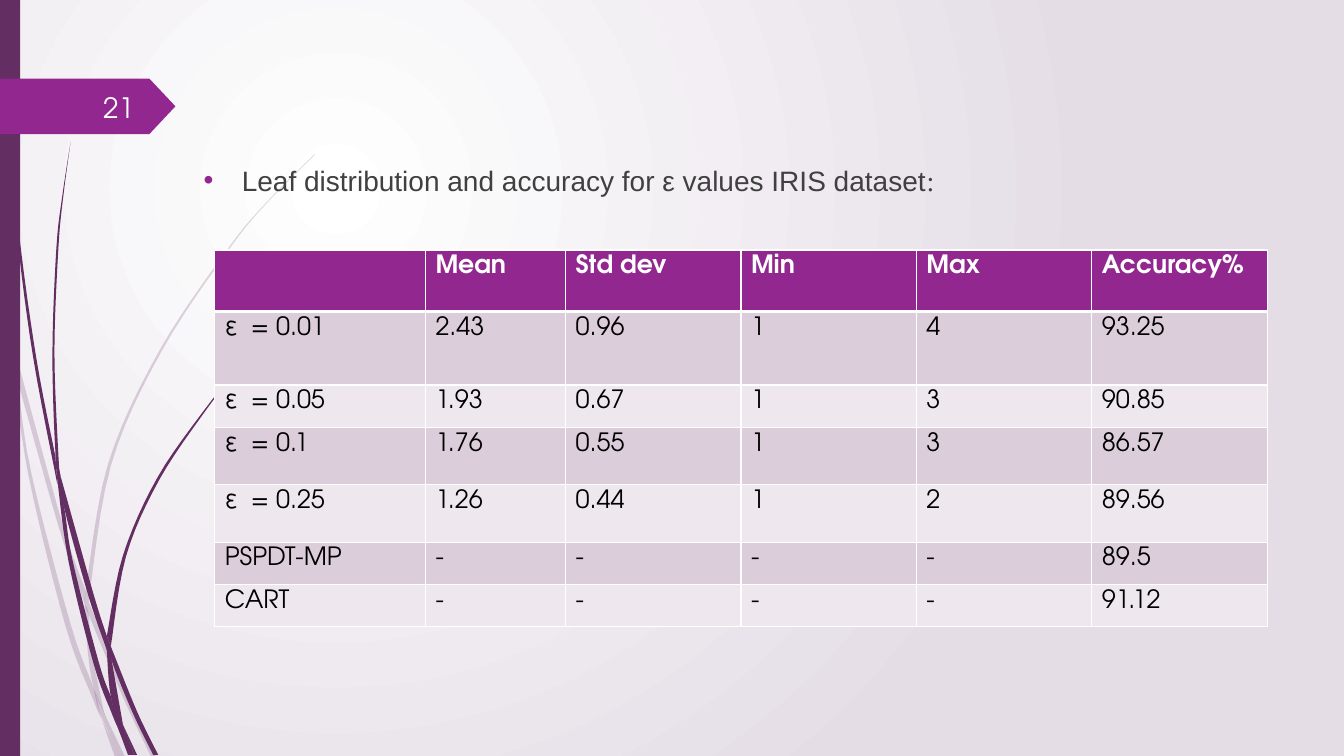
from dataclasses import dataclass

from lxml.etree import SubElement
from pptx import Presentation
from pptx.dml.color import RGBColor
from pptx.enum.shapes import MSO_SHAPE
from pptx.enum.text import MSO_ANCHOR, PP_ALIGN
from pptx.oxml.ns import qn
from pptx.util import Inches, Pt


@dataclass(frozen=True)
class Theme:
    plum: str = "632E62"
    accent: str = "92278F"
    band: str = "DCCDDB"
    light: str = "EEE8EE"
    white: str = "FFFFFF"
    mist: str = "E4DDE6"
    number: str = "FEFFFF"
    body: str = "404040"
    ink: str = "000000"
    font: str = "TeX Gyre Adventor"
    body_font: str = "Arial"
    colon_font: str = "Times New Roman"
    body_size: int = 20
    table_size: int = 18


THEME = Theme()

PALE_WISPS = [
    ([(0.11, 3.5), (0.09, 3.22), (0, 2.82)], [(0, 2.99), (0.1, 3.44), (0.11, 3.5)]),
    ([(0.17, 3.76), (0.58, 5.22), (0.84, 5.99)], [(0.85, 5.86), (0.62, 5.2), (0.14, 3.45)]),
    ([(0.88, 6.1), (1.23, 6.94), (1.5, 7.51)],
     [(1.55, 7.51), (1.27, 6.92), (0.92, 6.07), (0.88, 5.96)]),
    ([(1.05, 7.11), (1.19, 7.51)], [(1.24, 7.51), (1.05, 7.11)]),
    ([(0.11, 3.5), (0.28, 4.7), (0.65, 6.21), (0.92, 6.93), (1.01, 7.14)],
     [(0.99, 7.07), (0.93, 6.83), (0.7, 6.19), (0.31, 4.69), (0.17, 3.76), (0.11, 3.5)]),
    ([(0.84, 5.99), (0.87, 6.46), (0.93, 6.83), (1.05, 7.11)],
     [(1.03, 7.06), (0.91, 6.46), (0.88, 6.1), (0.84, 5.99)]),
    ([(0.85, 5.86), (1.07, 4.61), (1.58, 3.48), (2.28, 2.44), (2.68, 1.97), (3.12, 1.53)],
     [(3.12, 1.54), (2.68, 1.98), (2.29, 2.45), (1.6, 3.49), (1.1, 4.62), (0.88, 5.96)]),
    ([(1.01, 7.14), (1.14, 7.51)], [(1.19, 7.51), (1.01, 7.14)]),
    ([(0.85, 5.86), (0.84, 5.99), (0.88, 6.1)], [(0.88, 5.96), (0.85, 5.86)]),
    ([(0.93, 6.83), (0.99, 7.07), (1.19, 7.51)], [(1.05, 7.11), (0.93, 6.83)]),
]

DARK_WISPS = [
    ([(0.03, 0), (0.04, 0.48), (0.07, 1.1), (0.17, 2.33), (0.33, 3.55), (0.57, 4.81)],
     [(0.55, 4.53), (0.36, 3.55), (0.19, 2.32), (0.08, 1.09), (0.05, 0.48), (0.04, 0)]),
    ([(0.6, 4.72), (0.64, 5.05), (0.88, 5.92), (1.06, 6.45)],
     [(1.06, 6.31), (0.93, 5.9), (0.6, 4.72)]),
    ([(1.1, 6.41), (1.11, 6.56), (1.32, 7.08), (1.52, 7.49)],
     [(1.57, 7.49), (1.36, 7.06), (1.13, 6.49), (1.1, 6.41)]),
    ([(0.57, 4.77), (0.68, 5.57), (0.93, 6.59), (1.11, 7.08), (1.17, 7.22)],
     [(1.1, 6.91), (0.98, 6.57), (0.72, 5.56), (0.64, 5.05), (0.57, 4.77)]),
    ([(0.6, 4.72), (0.58, 4.53), (0.54, 3.49), (0.58, 2.45), (0.63, 1.93), (0.7, 1.41)],
     [(0.7, 1.41), (0.62, 1.93), (0.56, 2.45), (0.52, 3.49), (0.55, 4.49), (0.6, 4.72)]),
    ([(1.22, 7.19), (1.33, 7.49)], [(1.36, 7.49), (1.22, 7.19)]),
    ([(0.55, 4.49), (0.57, 4.77), (0.64, 5.05)], [(0.6, 4.72), (0.55, 4.49)]),
    ([(1.06, 6.31), (1.22, 5.51), (1.56, 4.74), (2.04, 4.05), (2.31, 3.73), (2.6, 3.44)],
     [(2.61, 3.44), (2.31, 3.74), (2.05, 4.06), (1.58, 4.76), (1.25, 5.52), (1.1, 6.41)]),
    ([(1.17, 7.22), (1.27, 7.49)], [(1.31, 7.49), (1.17, 7.22)]),
    ([(1.06, 6.45), (1.1, 6.91), (1.22, 7.19)], [(1.11, 6.56), (1.06, 6.45)]),
    ([(1.06, 6.31), (1.06, 6.45), (1.11, 6.56)], [(1.1, 6.41), (1.06, 6.31)]),
    ([(1.1, 6.91), (1.17, 7.22), (1.3, 7.49)], [(1.33, 7.49), (1.22, 7.19), (1.1, 6.91)]),
]

COLUMN_WIDTHS = [2.09, 1.39] + [1.74] * 4
ROW_HEIGHTS = [0.61, 0.73, 0.42, 0.57, 0.57, 0.42, 0.42]
RESULTS = [
    ["", "Mean", "Std dev", "Min", "Max", "Accuracy%"],
    ["ε  = 0.01", "2.43", "0.96", "1", "4", "93.25"],
    ["ε  = 0.05", "1.93", "0.67", "1", "3", "90.85"],
    ["ε  = 0.1", "1.76", "0.55", "1", "3", "86.57"],
    ["ε  = 0.25", "1.26", "0.44", "1", "2", "89.56"],
    ["PSPDT-MP", "-", "-", "-", "-", "89.5"],
    ["CART", "-", "-", "-", "-", "91.12"],
]


def rgb(color):
    return RGBColor.from_string(color)


def paint(sp, color):
    sp.shadow.inherit = False
    sp.fill.solid()
    sp.fill.fore_color.rgb = rgb(color)
    sp.line.fill.background()


def style_run(r, size, font, color, bold=False):
    r.font.size = Pt(size)
    r.font.name = font
    r.font.bold = bold
    r.font.color.rgb = rgb(color)


def set_background(s):
    fill = s.background.fill
    fill.gradient()
    for stop, color in zip(fill.gradient_stops, (THEME.white, THEME.mist)):
        stop.color.rgb = rgb(color)
    grad = s.element.find(".//" + qn("a:gradFill"))
    grad.remove(grad.find(qn("a:lin")))
    circle = SubElement(grad, qn("a:path"), path="circle")
    SubElement(circle, qn("a:fillToRect"), l="50000", t="50000", r="100000", b="100000")


def smooth(points, steps=6):
    padded = [points[0], *points, points[-1]]
    curve = [points[0]]
    for a, b, c, d in zip(padded, padded[1:], padded[2:], padded[3:]):
        for i in range(1, steps + 1):
            t = i / steps
            curve.append(tuple(
                q + t * (u - p) / 2 + t**2 * (2 * p - 5 * q + 4 * u - v) / 2
                + t**3 * (3 * q - p - 3 * u + v) / 2
                for p, q, u, v in zip(a, b, c, d)))
    return curve


def add_wisps(s, wisps, alpha=None):
    group = s.shapes.add_group_shape()
    for there, back in wisps:
        outline = [(Inches(x), Inches(y)) for x, y in smooth(there) + smooth(back)]
        builder = group.shapes.build_freeform(*outline[0])
        builder.add_line_segments(outline[1:], close=True)
        sp = builder.convert_to_shape()
        paint(sp, THEME.plum)
        if alpha:
            color = sp._element.spPr.find(".//" + qn("a:srgbClr"))
            SubElement(color, qn("a:alpha"), val=str(alpha * 1000))


def add_block(s, kind, x, y, w, h, color):
    sp = s.shapes.add_shape(kind, Inches(x), Inches(y), Inches(w), Inches(h))
    paint(sp, color)
    return sp


def add_text(s, x, y, w, h):
    tf = s.shapes.add_textbox(Inches(x), Inches(y), Inches(w), Inches(h)).text_frame
    tf.word_wrap = True
    return tf


def add_page_number(s, number):
    tf = add_text(s, 0.58, 0.86, 0.85, 0.4)
    tf.vertical_anchor = MSO_ANCHOR.MIDDLE
    p = tf.paragraphs[0]
    p.text = number
    p.alignment = PP_ALIGN.RIGHT
    style_run(p.runs[0], THEME.body_size, THEME.font, THEME.number)


def add_bullet(s, parts):
    p = add_text(s, 1.92, 1.57, 8.42, 4.89).paragraphs[0]
    for text, font in parts:
        r = p.add_run()
        r.text = text
        style_run(r, THEME.body_size, font, THEME.body)
    pPr = p._p.get_or_add_pPr()
    pPr.set("marL", str(Inches(0.38)))
    pPr.set("indent", str(-Inches(0.38)))
    SubElement(SubElement(pPr, qn("a:buClr")), qn("a:srgbClr"), val=THEME.accent)
    SubElement(pPr, qn("a:buFont"), typeface=THEME.body_font)
    SubElement(pPr, qn("a:buChar"), char="•")


def add_border(cell, side, width):
    ln = SubElement(cell._tc.get_or_add_tcPr(), qn("a:ln" + side), w=str(Pt(width)))
    SubElement(SubElement(ln, qn("a:solidFill")), qn("a:srgbClr"), val=THEME.white)


def style_cell(cell, text, row):
    header = row == 0
    for side in "LRTB":
        heavy = (header and side == "B") or (row == 1 and side == "T")
        add_border(cell, side, 3 if heavy else 1)
    cell.fill.solid()
    cell.fill.fore_color.rgb = rgb(THEME.accent if header else THEME.band if row % 2 else THEME.light)
    cell.text_frame.text = text
    for r in cell.text_frame.paragraphs[0].runs:
        style_run(r, THEME.table_size, THEME.font, THEME.white if header else THEME.ink, header)


def add_results(s):
    table = s.shapes.add_table(len(RESULTS), len(RESULTS[0]), Inches(2.13), Inches(2.48),
                               Inches(sum(COLUMN_WIDTHS)), Inches(sum(ROW_HEIGHTS))).table
    for column, width in zip(table.columns, COLUMN_WIDTHS):
        column.width = Inches(width)
    for i, (row, height) in enumerate(zip(table.rows, ROW_HEIGHTS)):
        row.height = Inches(height)
        for cell, text in zip(row.cells, RESULTS[i]):
            style_cell(cell, text, i)


def main():
    prs = Presentation()
    prs.slide_width, prs.slide_height = Inches(13.33), Inches(7.5)
    s = prs.slides.add_slide(prs.slide_layouts[6])
    set_background(s)
    add_wisps(s, PALE_WISPS, alpha=20)
    add_wisps(s, DARK_WISPS)
    add_block(s, MSO_SHAPE.RECTANGLE, 0, 0, 0.2, 7.5, THEME.plum)
    tag = add_block(s, MSO_SHAPE.PENTAGON, 0, 0.78, 1.74, 0.55, THEME.accent)
    tag.adjustments[0] = 0.47
    add_bullet(s, [("Leaf distribution and accuracy for ε values IRIS dataset", THEME.body_font),
                   (":", THEME.colon_font)])
    add_page_number(s, "21")
    add_results(s)
    prs.save("out.pptx")


if __name__ == "__main__":
    main()
